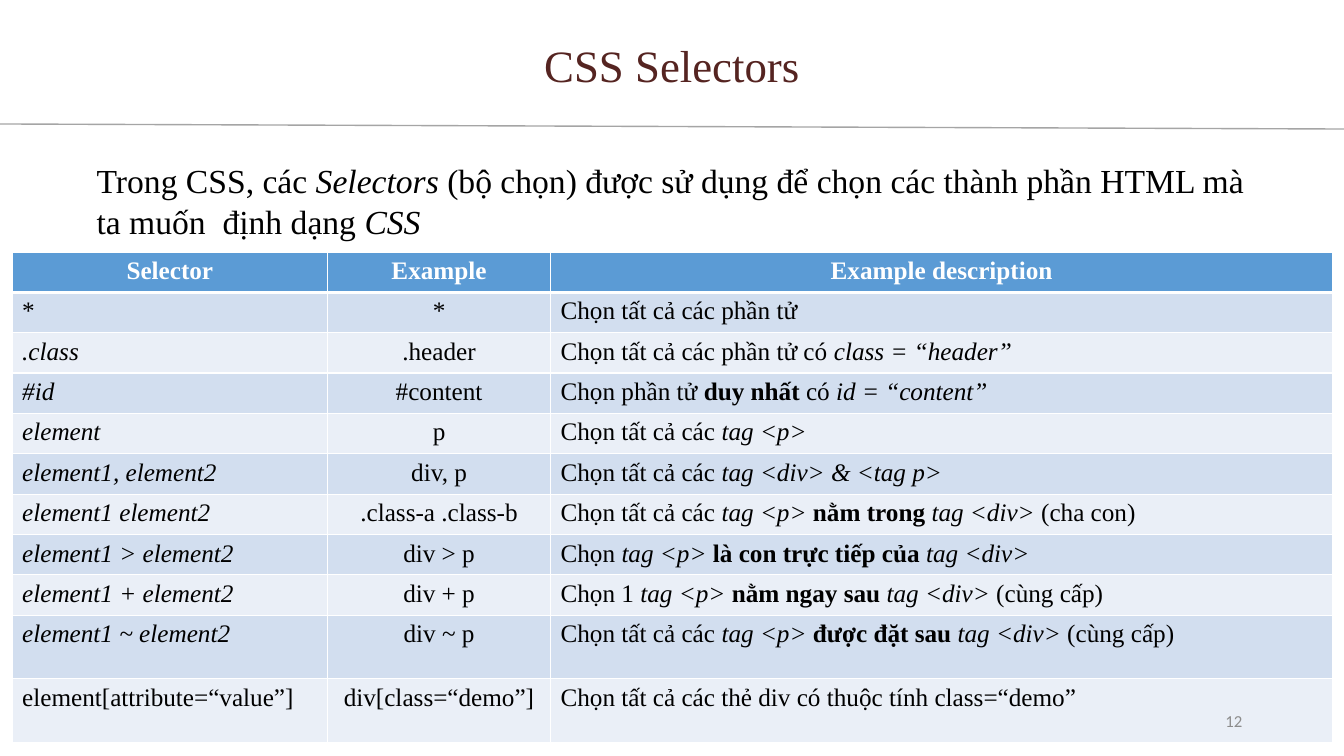
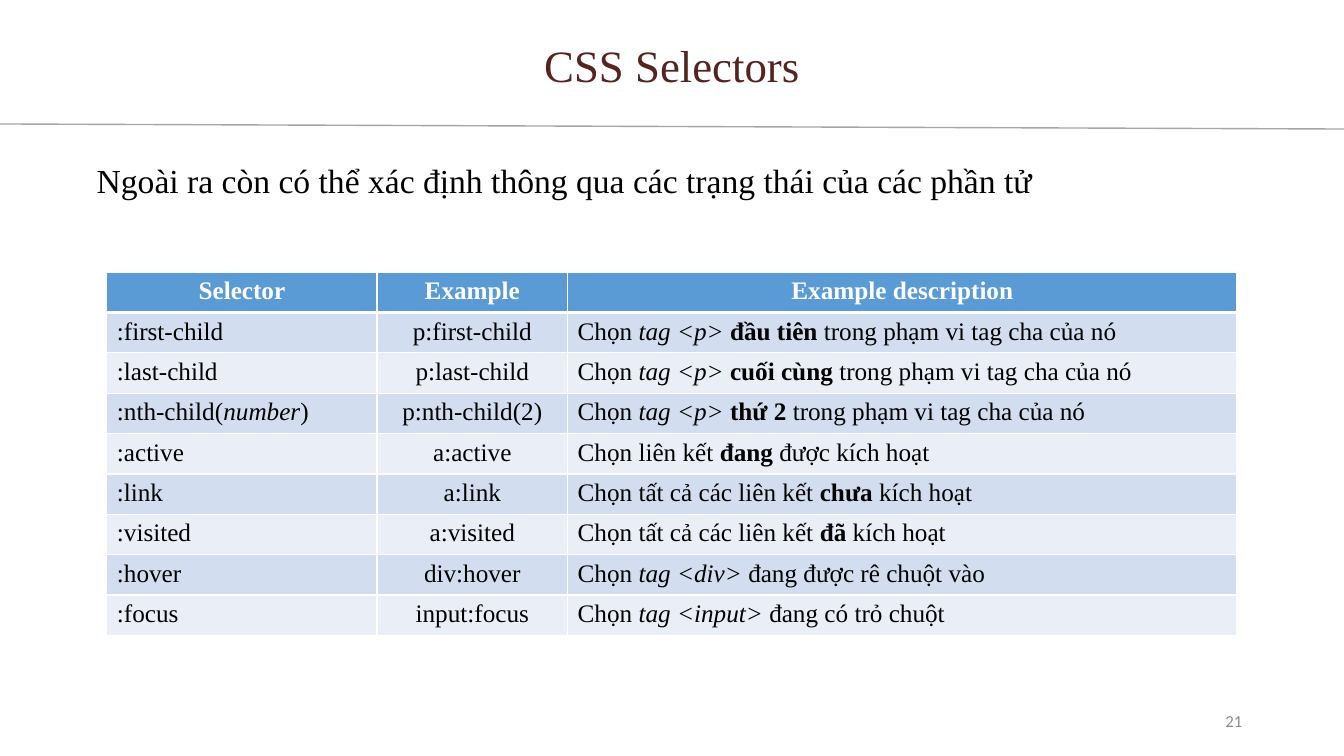
from lxml import etree
from pptx import Presentation
from pptx import util as u
from pptx.dml.color import RGBColor
from pptx.enum import shapes, text
from pptx.oxml.ns import qn

PX = 9144  # 100 px to the inch
SLIDE_W, SLIDE_H = 1333, 750
SERIF, SANS = "Times New Roman", "Calibri"
COLORS = {
    "title": "552421", "body": "000000", "rule": "A5A5A5", "number": "8C8C8C",
    "header": "5B9BD5", "odd": "D2DEEF", "even": "EAEFF7", "white": "FFFFFF",
}
LEFT, CENTER, RIGHT = text.PP_ALIGN.LEFT, text.PP_ALIGN.CENTER, text.PP_ALIGN.RIGHT
HEADINGS = ("Selector", "Example", "Example description")

# Inline marks: _italic_ and ^bold^
SELECTORS = [
    ("*", "*", "Chọn tất cả các phần tử"),
    ("_.class_", ".header", "Chọn tất cả các phần tử có _class = “header”_"),
    ("_#id_", "#content", "Chọn phần tử ^duy nhất ^có _id = “content”_"),
    ("_element_", "p", "Chọn tất cả các _tag <p>_"),
    ("_element1, element2_", "div, p", "Chọn tất cả các _tag <div> & <tag p>_"),
    ("_element1 element2_", ".class-a .class-b",
     "Chọn tất cả các _tag <p> _^nằm trong ^_tag <div> _(cha con)"),
    ("_element1 > element2_", "div > p",
     "Chọn _tag <p> _^là con trực tiếp của ^_tag <div>_"),
    ("_element1 + element2_", "div + p",
     "Chọn 1 _tag <p> _^nằm ngay sau ^_tag <div> _(cùng cấp)"),
    ("_element1 ~ element2_", "div ~ p",
     "Chọn tất cả các _tag <p> _^được đặt sau ^_tag <div> _(cùng cấp)"),
    ("element[attribute=“value”]", "div[class=“demo”]",
     "Chọn tất cả các thẻ div có thuộc tính class=“demo”"),
]
STATES = [
    (":first-child", "p:first-child",
     "Chọn _tag <p> _^đầu tiên ^trong phạm vi tag cha của nó"),
    (":last-child", "p:last-child",
     "Chọn _tag <p> _^cuối cùng ^trong phạm vi tag cha của nó"),
    (":nth-child(_number_)", "p:nth-child(2)",
     "Chọn _tag <p> _^thứ 2 ^trong phạm vi tag cha của nó"),
    (":active", "a:active", "Chọn liên kết ^đang ^được kích hoạt"),
    (":link", "a:link", "Chọn tất cả các liên kết ^chưa ^kích hoạt"),
    (":visited", "a:visited", "Chọn tất cả các liên kết ^đã ^kích hoạt"),
    (":hover", "div:hover", "Chọn _tag <div> _đang được rê chuột vào"),
    (":focus", "input:focus", "Chọn _tag <input> _đang có trỏ chuột"),
]


def rgb(name):
    return RGBColor.from_string(COLORS[name])


def write(frame, marked, size, color="body", align=LEFT, font=SERIF, bold=False):
    """Fill a text frame, turning the inline marks into runs."""
    paragraph = frame.paragraphs[0]
    paragraph.alignment = align
    for i, part in enumerate(marked.split("_")):
        for j, words in enumerate(part.split("^")):
            if not words:
                continue
            run = paragraph.add_run()
            run.text = words
            run.font.size, run.font.name = u.Pt(size), font
            run.font.color.rgb = rgb(color)
            run.font.italic = i % 2 == 1
            run.font.bold = bold or j % 2 == 1


def add_text(slide, box, marked, size, **style):
    frame = slide.shapes.add_textbox(*(n * PX for n in box)).text_frame
    frame.word_wrap = True
    write(frame, marked, size, **style)
    return frame


def add_rule(slide):
    rule = slide.shapes.add_connector(
        shapes.MSO_CONNECTOR.STRAIGHT, 0, 123 * PX, SLIDE_W * PX, 128 * PX)
    rule.line.color.rgb = rgb("rule")
    rule.line.width = u.Pt(1)
    etree.SubElement(rule._element.spPr, qn("a:effectLst"))


def set_borders(cell, top=1, bottom=1):
    properties = cell._tc.get_or_add_tcPr()
    for side, width in (("L", 1), ("R", 1), ("T", top), ("B", bottom)):
        line = etree.SubElement(properties, qn(f"a:ln{side}"), w=str(u.Pt(width)))
        fill = etree.SubElement(line, qn("a:solidFill"))
        etree.SubElement(fill, qn("a:srgbClr"), val=COLORS["white"])


def add_selector_table(slide, left, top, widths, heights, entries):
    rows = [HEADINGS, *entries]
    table = slide.shapes.add_table(
        len(rows), len(widths), left * PX, top * PX,
        sum(widths) * PX, sum(heights) * PX).table
    for column, width in zip(table.columns, widths):
        column.width = width * PX
    for r, (row, height) in enumerate(zip(rows, heights)):
        table.rows[r].height = height * PX
        heading = r == 0
        band = "header" if heading else "odd" if r % 2 else "even"
        for c, marked in enumerate(row):
            cell = table.cell(r, c)
            # The line below the headings is heavier
            set_borders(cell, top=3 if r == 1 else 1, bottom=3 if heading else 1)
            cell.fill.solid()
            cell.fill.fore_color.rgb = rgb(band)
            write(cell.text_frame, marked, 18, "white" if heading else "body",
                  CENTER if heading or c == 1 else LEFT, bold=heading)


def add_selector_slide(deck, number, intro, intro_height, **table):
    slide = deck.slides.add_slide(deck.slide_layouts[6])
    add_rule(slide)
    # Title and introduction
    title = add_text(slide, (441, 33, 451, 64), "CSS Selectors", 32,
                     color="title", align=CENTER)
    lead = add_text(slide, (86, 154, 1161, intro_height), intro, 24)
    for frame in (title, lead):
        frame.auto_size = text.MSO_AUTO_SIZE.SHAPE_TO_FIT_TEXT
    add_selector_table(slide, **table)
    # Slide number
    footer = add_text(slide, (942, 695, 300, 40), str(number), 12,
                      color="number", align=RIGHT, font=SANS)
    footer.vertical_anchor = text.MSO_ANCHOR.MIDDLE


def main():
    deck = Presentation()
    deck.slide_width, deck.slide_height = SLIDE_W * PX, SLIDE_H * PX
    add_selector_slide(
        deck, 12,
        "Trong CSS, các _Selectors_ (bộ chọn) được sử dụng để chọn các thành phần "
        "HTML mà ta muốn  định dạng _CSS_", 91,
        left=12, top=250, widths=(313, 221, 776), heights=[40] * 9 + [63] * 2,
        entries=SELECTORS)
    add_selector_slide(
        deck, 21,
        "Ngoài ra còn có thể xác định thông qua các trạng thái của các phần tử", 50,
        left=106, top=270, widths=(268, 189, 664), heights=[40] * 9,
        entries=STATES)
    deck.save("out.pptx")


if __name__ == "__main__":
    main()
